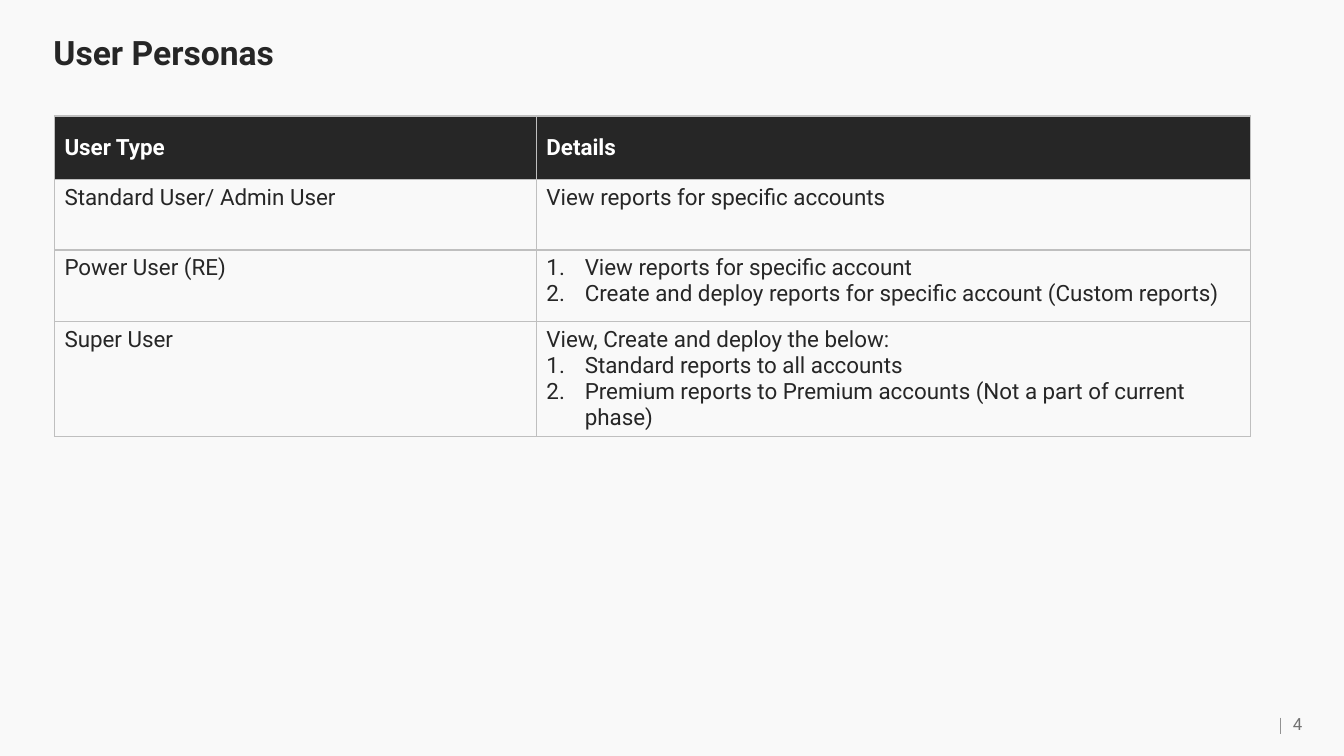
"""Build the User Personas slide with its table of user types."""
from dataclasses import dataclass

from lxml.etree import SubElement
from pptx import Presentation
from pptx.dml.color import RGBColor
from pptx.enum.shapes import MSO_CONNECTOR
from pptx.enum.text import MSO_ANCHOR as ANCHOR, PP_ALIGN as ALIGN
from pptx.oxml.ns import qn
from pptx.util import Inches, Pt

TITLE = "User Personas"
PAGE = "4"
HEADER = ("User Type", "Details")
PERSONAS = [
    ("Standard User/ Admin User", "View reports for specific accounts", []),
    ("Power User (RE)", "", [
        "View reports for specific account",
        "Create and deploy reports for specific account (Custom reports)"]),
    ("Super User", "View, Create and deploy the below:", [
        "Standard reports to all accounts",
        "Premium reports to Premium accounts (Not a part of current phase)"]),
]
COLUMNS = (4.78, 7.08)
ROWS = (0.63, 0.7, 0.71, 1.14)
LEFT, TOP = 0.54, 1.15
NUMBER_INDENT = 0.38


@dataclass(frozen=True)
class Theme:
    font: str = "Roboto"
    background: str = "F9F9F9"
    ink: str = "262626"
    light: str = "FFFFFF"
    border: str = "BFBFBF"
    rule: str = "929292"
    page: str = "727272"
    title_size: int = 24
    body_size: int = 16
    page_size: int = 12


THEME = Theme()


def rgb(color):
    return RGBColor.from_string(color)


def write(p, text, size=THEME.body_size, color=THEME.ink, bold=False,
          align=ALIGN.LEFT, numbered=False):
    """Write one formatted paragraph."""
    p.alignment = align
    if numbered:
        pPr = p._p.get_or_add_pPr()
        pPr.set("marL", str(Inches(NUMBER_INDENT)))
        pPr.set("indent", str(-Inches(NUMBER_INDENT)))
        SubElement(pPr, qn("a:buFont"), typeface="+mj-lt")
        SubElement(pPr, qn("a:buAutoNum"), type="arabicPeriod")
    r = p.add_run()
    r.text = text
    r.font.name, r.font.size, r.font.bold = THEME.font, Pt(size), bold
    r.font.color.rgb = rgb(color)


def add_borders(cell):
    tcPr = cell._tc.get_or_add_tcPr()
    for i, side in enumerate(("a:lnL", "a:lnR", "a:lnT", "a:lnB")):
        ln = tcPr.makeelement(qn(side), {"w": str(Pt(1))})
        fill = SubElement(ln, qn("a:solidFill"))
        SubElement(fill, qn("a:srgbClr"), val=THEME.border)
        tcPr.insert(i, ln)


def add_title(s):
    title = s.shapes.title
    title.left, title.top = Inches(0.43), Inches(0.31)
    title.width, title.height = Inches(10.22), Inches(0.53)
    tf = title.text_frame
    tf.vertical_anchor, tf.word_wrap = ANCHOR.TOP, True
    p = tf.paragraphs[0]
    p.line_spacing = 0.9
    write(p, TITLE, size=THEME.title_size, bold=True)


def add_personas(s):
    table = s.shapes.add_table(
        len(ROWS), len(COLUMNS), Inches(LEFT), Inches(TOP),
        Inches(sum(COLUMNS)), Inches(sum(ROWS))).table
    table.horz_banding = False
    for column, width in zip(table.columns, COLUMNS):
        column.width = Inches(width)
    for row, height in zip(table.rows, ROWS):
        row.height = Inches(height)
    for cell, text in zip(table.rows[0].cells, HEADER):
        cell.fill.solid()
        cell.fill.fore_color.rgb = rgb(THEME.ink)
        cell.vertical_anchor = ANCHOR.MIDDLE
        write(cell.text_frame.paragraphs[0], text, color=THEME.light, bold=True)
    for i, (user, lead, steps) in enumerate(PERSONAS, 1):
        name, details = table.rows[i].cells
        name.fill.background()
        details.fill.background()
        write(name.text_frame.paragraphs[0], user)
        lines = [(lead, False)] if lead else []
        lines += [(step, True) for step in steps]
        tf = details.text_frame
        for j, (text, numbered) in enumerate(lines):
            p = tf.add_paragraph() if j else tf.paragraphs[0]
            write(p, text, numbered=numbered)
    for cell in table.iter_cells():
        add_borders(cell)


def add_page_number(s):
    rule = s.shapes.add_connector(MSO_CONNECTOR.STRAIGHT, Inches(12.7),
                                  Inches(7.12), Inches(12.7), Inches(7.28))
    rule.line.color.rgb = rgb(THEME.rule)
    rule.line.width = Pt(0.5)
    SubElement(rule._element.spPr, qn("a:effectLst"))
    box = s.shapes.add_textbox(Inches(12.64), Inches(7.05),
                               Inches(0.46), Inches(0.27))
    tf = box.text_frame
    tf.word_wrap, tf.vertical_anchor = True, ANCHOR.MIDDLE
    write(tf.paragraphs[0], PAGE, size=THEME.page_size, color=THEME.page,
          align=ALIGN.CENTER)


def main():
    prs = Presentation()
    prs.slide_width, prs.slide_height = Inches(13.33), Inches(7.5)
    s = prs.slides.add_slide(prs.slide_layouts[5])
    s.background.fill.solid()
    s.background.fill.fore_color.rgb = rgb(THEME.background)
    add_title(s)
    add_personas(s)
    add_page_number(s)
    prs.save("out.pptx")


if __name__ == "__main__":
    main()
